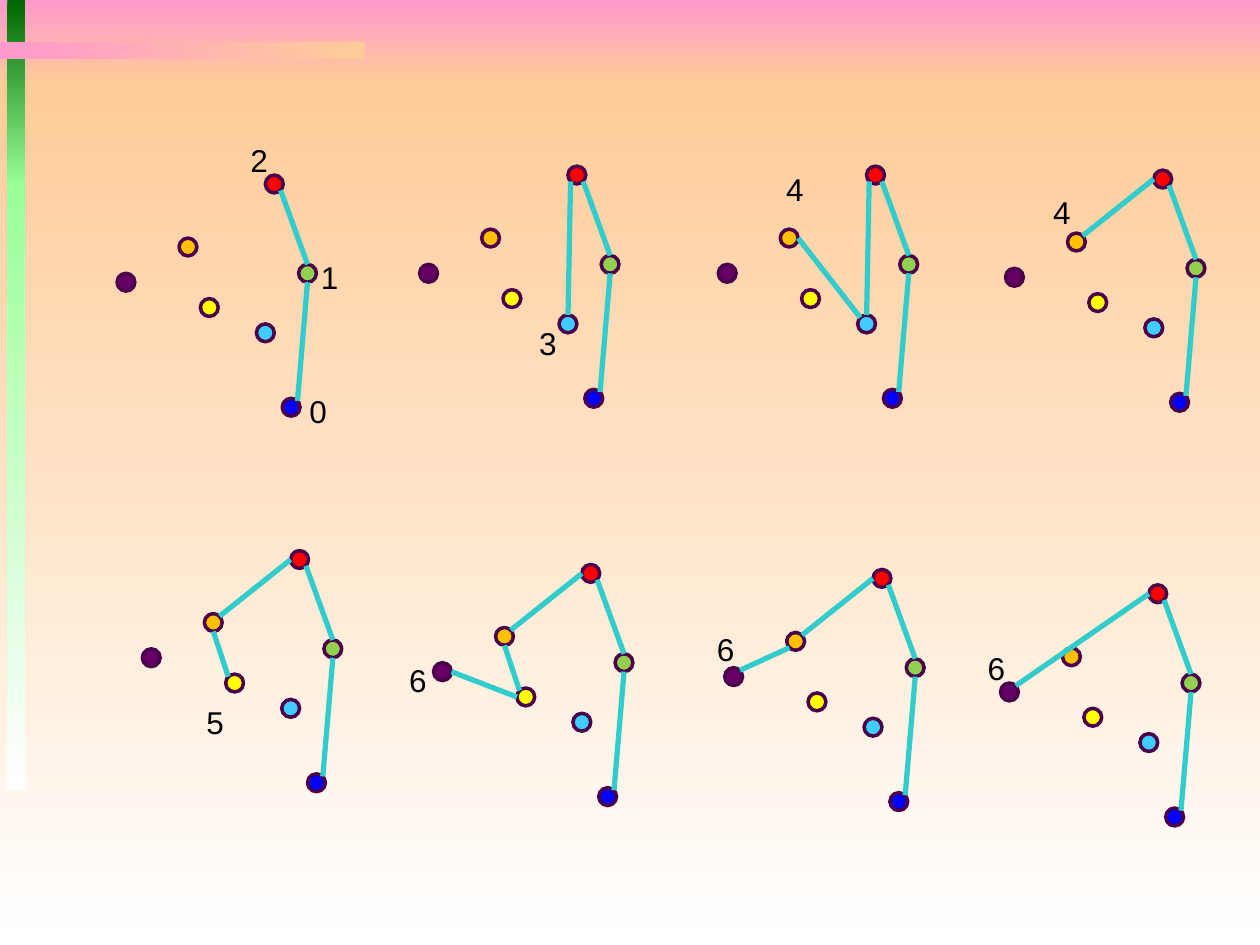
from math import cos, radians, sin

from lxml.etree import SubElement
from pptx import Presentation
from pptx.dml.color import RGBColor
from pptx.enum.shapes import MSO_CONNECTOR, MSO_SHAPE
from pptx.oxml.ns import qn
from pptx.util import Cm, Pt

PINK = RGBColor(0xFF, 0x99, 0xCC)
PEACH = RGBColor(0xFF, 0xCC, 0x99)
WHITE = RGBColor(0xFF, 0xFF, 0xFF)
BLACK = RGBColor(0x00, 0x00, 0x00)
DARK_GREEN = RGBColor(0x00, 0x66, 0x00)
LIGHT_GREEN = RGBColor(0x99, 0xFF, 0x99)
OUTLINE = RGBColor(0x4B, 0x00, 0x4B)
TEAL = RGBColor(0x33, 0xCC, 0xCC)

SLIDE_W, SLIDE_H = 25.4, 19.05
DOT = 0.36
ACROSS, DOWN = 0, 270  # gradient angles, counter-clockwise

# Point set: offset of each dot in its panel (cm) and its colour
POINTS = {
    "red": (2.99, 0, RGBColor(0xFF, 0x00, 0x00)),
    "green": (3.66, 1.8, RGBColor(0x92, 0xD0, 0x50)),
    "purple": (0, 1.98, RGBColor(0x66, 0x00, 0x66)),
    "cyan": (2.81, 3, RGBColor(0x3F, 0xCD, 0xFF)),
    "blue": (3.33, 4.5, RGBColor(0x00, 0x00, 0xFF)),
    "yellow": (1.68, 2.49, RGBColor(0xFF, 0xFF, 0x00)),
    "orange": (1.25, 1.27, RGBColor(0xFF, 0xC0, 0x00)),
}

# Where an edge meets the rim of a dot, in degrees clockwise from the right
RIM = {"E": 0, "SE": 45, "S": 90, "SW": 135, "W": 180, "NW": 225, "N": 270, "NE": 315}

# Hull edges: (dot, rim side, dot, rim side)
BASE = [("blue", "NE", "green", "S"), ("green", "N", "red", "SE")]
CYAN_RED = ("cyan", "N", "red", "SW")
CYAN_ORANGE = ("cyan", "NW", "orange", "E")
ORANGE_RED = ("orange", "NE", "red", "W")
ORANGE_YELLOW = ("orange", "S", "yellow", "NW")
PURPLE_YELLOW = ("purple", "E", "yellow", "W")
PURPLE_ORANGE = ("purple", "NE", "orange", "SW")
PURPLE_RED = ("purple", "NE", "red", "W")

# Scan steps: panel left and top, edges after the base, labels with offsets
STEPS = [
    (2.36, 3.53, [], [("2", 2.44, -0.81), ("1", 3.86, 1.55), ("0", 3.63, 4.24)]),
    (8.46, 3.35, [CYAN_RED], [("3", 2.16, 3.05)]),
    (14.48, 3.35, [CYAN_RED, CYAN_ORANGE], [("4", 1.12, -0.05)]),
    (20.27, 3.43, [ORANGE_RED], [("4", 0.71, 0.33)]),
    (2.87, 11.1, [ORANGE_RED, ORANGE_YELLOW], [("5", 1.04, 2.95)]),
    (8.74, 11.38, [ORANGE_RED, ORANGE_YELLOW, PURPLE_YELLOW], [("6", -0.74, 1.83)]),
    (14.61, 11.48, [ORANGE_RED, PURPLE_ORANGE], [("6", -0.41, 1.09)]),
    (20.17, 11.79, [PURPLE_RED], [("6", -0.51, 1.17)]),
]


def add_band(s, x, y, w, h, start, end, angle):
    sp = s.shapes.add_shape(MSO_SHAPE.RECTANGLE, Cm(x), Cm(y), Cm(w), Cm(h))
    sp.shadow.inherit = False
    sp.line.fill.background()
    sp.fill.gradient()
    sp.fill.gradient_angle = angle
    for stop, color in zip(sp.fill.gradient_stops, (start, end)):
        stop.color.rgb = color


def add_dot(s, x, y, color):
    sp = s.shapes.add_shape(MSO_SHAPE.OVAL, Cm(x), Cm(y), Cm(DOT), Cm(DOT))
    sp.shadow.inherit = False
    sp.fill.solid()
    sp.fill.fore_color.rgb = color
    sp.line.color.rgb = OUTLINE
    sp.line.width = Pt(2)


def rim_point(x, y, dot, side):
    dx, dy, _ = POINTS[dot]
    a = radians(RIM[side])
    r = DOT / 2
    return Cm(x + dx + r + r * cos(a)), Cm(y + dy + r + r * sin(a))


def add_edge(s, start, end):
    cxn = s.shapes.add_connector(MSO_CONNECTOR.STRAIGHT, *start, *end)
    cxn.line.color.rgb = TEAL
    cxn.line.width = Pt(3)
    SubElement(cxn._element.spPr, qn("a:effectLst"))


def add_label(s, x, y, text):
    tf = s.shapes.add_textbox(Cm(x), Cm(y), Cm(1.52), Cm(1.02)).text_frame
    tf.word_wrap = True
    p = tf.paragraphs[0]
    p.text = text
    p.font.name = "Arial"
    p.font.size = Pt(18)
    p.font.color.rgb = BLACK


def add_background(s, x, y, w, h):
    # Sky in two parts
    top = 1.7
    add_band(s, x, y, w, top, PINK, PEACH, DOWN)
    add_band(s, x, y + top, w, h - top, PEACH, WHITE, DOWN)
    # Green bar at the left, then the short bar across it
    add_band(s, x + 0.15, y, 0.36, 3.75, DARK_GREEN, LIGHT_GREEN, DOWN)
    add_band(s, x + 0.15, y + 3.72, 0.36, 12.2, LIGHT_GREEN, WHITE, DOWN)
    add_band(s, x, y + 0.84, 7.35, 0.36, PINK, PEACH, ACROSS)


def add_step(s, x, y, edges, labels):
    for dx, dy, color in POINTS.values():
        add_dot(s, x + dx, y + dy, color)
    for a, a_side, b, b_side in BASE + edges:
        add_edge(s, rim_point(x, y, a, a_side), rim_point(x, y, b, b_side))
    for text, dx, dy in labels:
        add_label(s, x + dx, y + dy, text)


def main():
    prs = Presentation()
    prs.slide_width, prs.slide_height = Cm(SLIDE_W), Cm(SLIDE_H)
    s = prs.slides.add_slide(prs.slide_layouts[6])
    add_background(s, 0, 0, SLIDE_W, SLIDE_H)
    for step in STEPS:
        add_step(s, *step)
    prs.save("out.pptx")


if __name__ == "__main__":
    main()
